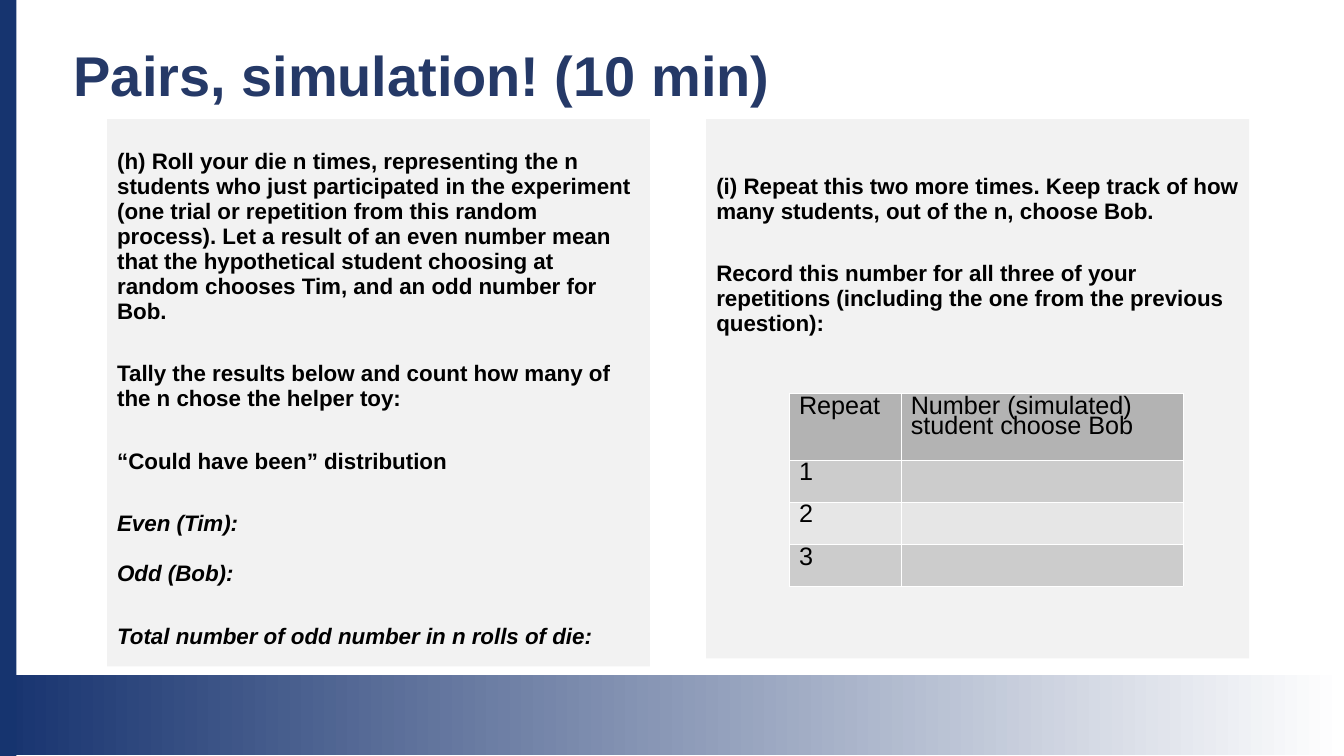
from dataclasses import dataclass

from lxml import etree
from pptx import Presentation
from pptx.dml.color import RGBColor
from pptx.enum.shapes import MSO_SHAPE
from pptx.enum.text import MSO_ANCHOR, MSO_AUTO_SIZE, PP_ALIGN
from pptx.oxml.ns import qn
from pptx.util import Pt

RECT = MSO_SHAPE.RECTANGLE
TOP = MSO_ANCHOR.TOP
NO_FIT = MSO_AUTO_SIZE.NONE
LEFT = PP_ALIGN.LEFT
TWO_CONTENT = 3


@dataclass(frozen=True)
class Theme:
    font: str = "Arial"
    navy: str = "16346F"
    fade: str = "17336F"
    title: str = "253967"
    ink: str = "000000"
    white: str = "FFFFFF"
    panel: str = "F2F2F2"
    head: str = "B3B3B3"
    bands: tuple[str, str] = ("CCCCCC", "E6E6E6")
    title_size: float = 40
    body_size: float = 16
    table_size: float = 18


@dataclass(frozen=True)
class Box:
    left: float
    top: float
    width: float
    height: float


@dataclass(frozen=True)
class Line:
    text: str
    gap: float = 0
    italic: bool = False


@dataclass(frozen=True)
class Panel:
    box: Box
    inset: float
    lines: tuple[Line, ...]


THEME = Theme()
WIDE, SMALL = 26.8, 17.9  # gaps between paragraphs

PANELS = (
    Panel(Box(76.5, 85, 388, 391), 21.5, (
        Line("(h) Roll your die n times, representing the n students who just "
             "participated in the experiment (one trial or repetition from this "
             "random process). Let a result of an even number mean that the "
             "hypothetical student choosing at random chooses Tim, and an odd "
             "number for Bob."),
        Line("Tally the results below and count how many of the n chose the "
             "helper toy:", WIDE),
        Line("“Could have been” distribution", WIDE),
        Line("Even (Tim):", WIDE, True),
        Line("Odd (Bob):", SMALL, True),
        Line("Total number of odd number in n rolls of die:", WIDE, True),
    )),
    Panel(Box(504.7, 85, 388, 385.3), 39.4, (
        Line("(i) Repeat this two more times. Keep track of how many students, "
             "out of the n, choose Bob."),
        Line("Record this number for all three of your repetitions (including "
             "the one from the previous question):", WIDE),
    )),
)

ROWS = (("Repeat", "Number (simulated) student choose Bob"),
        ("1", ""), ("2", ""), ("3", ""))
COLS = (79.9, 201.6)
HEAD_ROW, BODY_ROW = 47.5, 30.2


def rgb(code: str) -> RGBColor:
    return RGBColor.from_string(code)


def place(shape, box: Box) -> None:
    shape.left, shape.top = Pt(box.left), Pt(box.top)
    shape.width, shape.height = Pt(box.width), Pt(box.height)


def write(para, text: str, *, size: float, color: str = THEME.ink,
          bold: bool = False, italic: bool = False, ratio: float = 1,
          gap: float = 0) -> None:
    """Fill a paragraph with one formatted run, free of bullet and indent."""
    props = para._p.get_or_add_pPr()
    props.set("marL", "0")
    props.set("indent", "0")
    etree.SubElement(props, qn("a:buNone"))
    para.alignment = LEFT
    para.line_spacing = ratio
    para.space_before = Pt(gap)
    run = para.add_run()
    run.text = text
    font = run.font
    font.name, font.size = THEME.font, Pt(size)
    font.bold, font.italic = bold, italic
    font.color.rgb = rgb(color)


def set_frame(frame, inset: float = 3.6) -> None:
    frame.word_wrap = True
    frame.auto_size = NO_FIT
    frame.vertical_anchor = TOP
    frame.margin_left = frame.margin_right = Pt(7.2)
    frame.margin_top, frame.margin_bottom = Pt(inset), Pt(3.6)


def add_bar(slide, box: Box):
    bar = slide.shapes.add_shape(RECT, 0, 0, 0, 0)
    place(bar, box)
    bar.shadow.inherit = False
    bar.line.fill.background()
    return bar


def add_bars(slide) -> None:
    foot = add_bar(slide, Box(0, 482.4, 960, 57))
    foot.fill.gradient()
    foot.fill.gradient_angle = 0
    for stop, code in zip(foot.fill.gradient_stops, (THEME.fade, THEME.white)):
        stop.color.rgb = rgb(code)
    side = add_bar(slide, Box(0, 0, 11.7, 540))
    side.fill.solid()
    side.fill.fore_color.rgb = rgb(THEME.navy)


def fill_panel(shape, panel: Panel) -> None:
    place(shape, panel.box)
    shape.fill.solid()
    shape.fill.fore_color.rgb = rgb(THEME.panel)
    frame = shape.text_frame
    set_frame(frame, panel.inset)
    for i, line in enumerate(panel.lines):
        para = frame.add_paragraph() if i else frame.paragraphs[0]
        write(para, line.text, size=THEME.body_size, bold=True,
              italic=line.italic, ratio=0.93, gap=line.gap)


def add_edges(cell) -> None:
    props = cell._tc.get_or_add_tcPr()
    for side in ("lnL", "lnR", "lnT", "lnB"):
        edge = etree.SubElement(props, qn(f"a:{side}"), w=str(Pt(0.06)))
        fill = etree.SubElement(edge, qn("a:solidFill"))
        etree.SubElement(fill, qn("a:srgbClr"), val=THEME.white)


def add_tally(slide) -> None:
    box = Box(563.8, 280.8, sum(COLS), HEAD_ROW + BODY_ROW * (len(ROWS) - 1))
    holder = slide.shapes.add_table(len(ROWS), len(COLS), 0, 0, 0, 0)
    place(holder, box)
    table = holder.table
    table.first_row = table.horz_banding = False
    for col, width in zip(table.columns, COLS):
        col.width = Pt(width)
    for r, texts in enumerate(ROWS):
        table.rows[r].height = Pt(BODY_ROW if r else HEAD_ROW)
        shade = THEME.bands[(r - 1) % 2] if r else THEME.head
        for c, text in enumerate(texts):
            cell = table.cell(r, c)
            add_edges(cell)
            cell.fill.solid()
            cell.fill.fore_color.rgb = rgb(shade)
            if text:
                write(cell.text_frame.paragraphs[0], text,
                      size=THEME.table_size, ratio=0.71)


def main() -> None:
    deck = Presentation()
    deck.slide_width, deck.slide_height = Pt(960.5), Pt(540)
    slide = deck.slides.add_slide(deck.slide_layouts[TWO_CONTENT])
    title, *bodies = slide.placeholders
    add_bars(slide)
    place(title, Box(45.4, 31, 774, 60.5))
    set_frame(title.text_frame)
    write(title.text_frame.paragraphs[0], "Pairs, simulation! (10 min)",
          size=THEME.title_size, color=THEME.title, bold=True, ratio=0.9)
    for shape, panel in zip(bodies, PANELS):
        fill_panel(shape, panel)
    add_tally(slide)
    deck.save("out.pptx")


if __name__ == "__main__":
    main()
